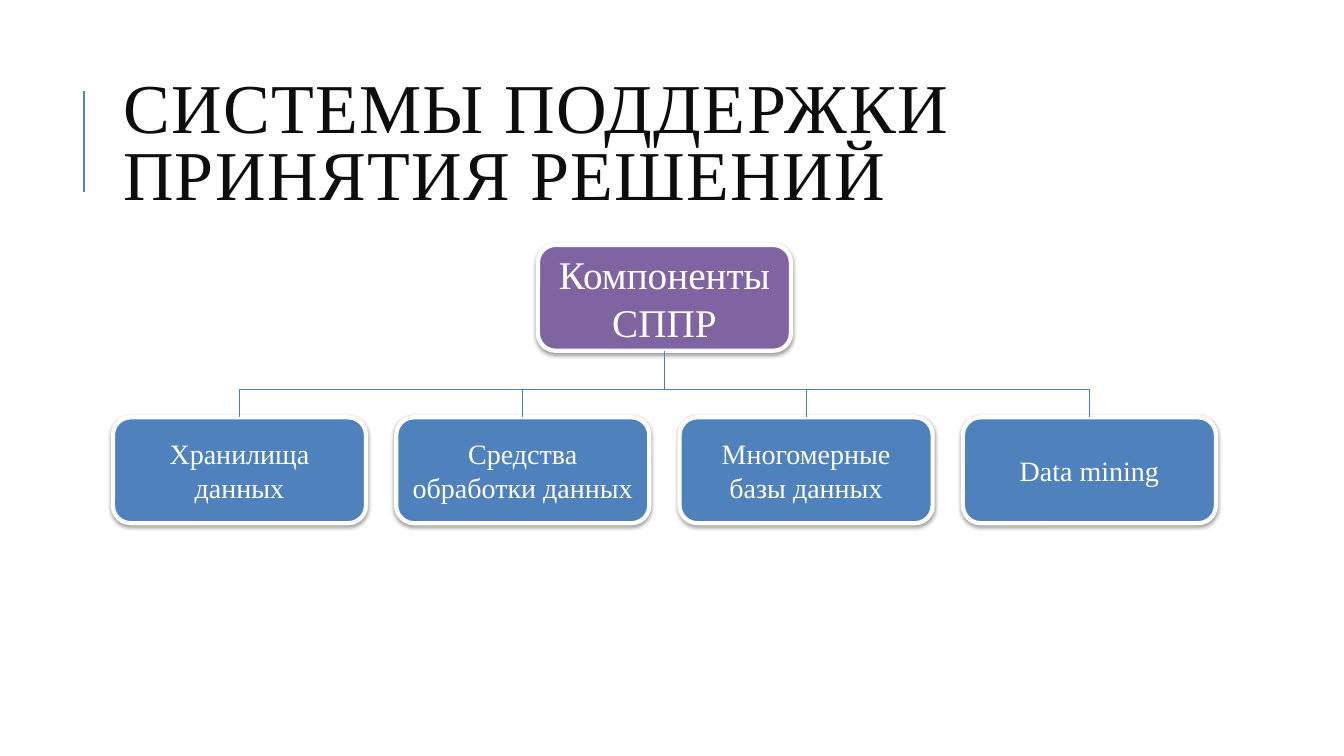
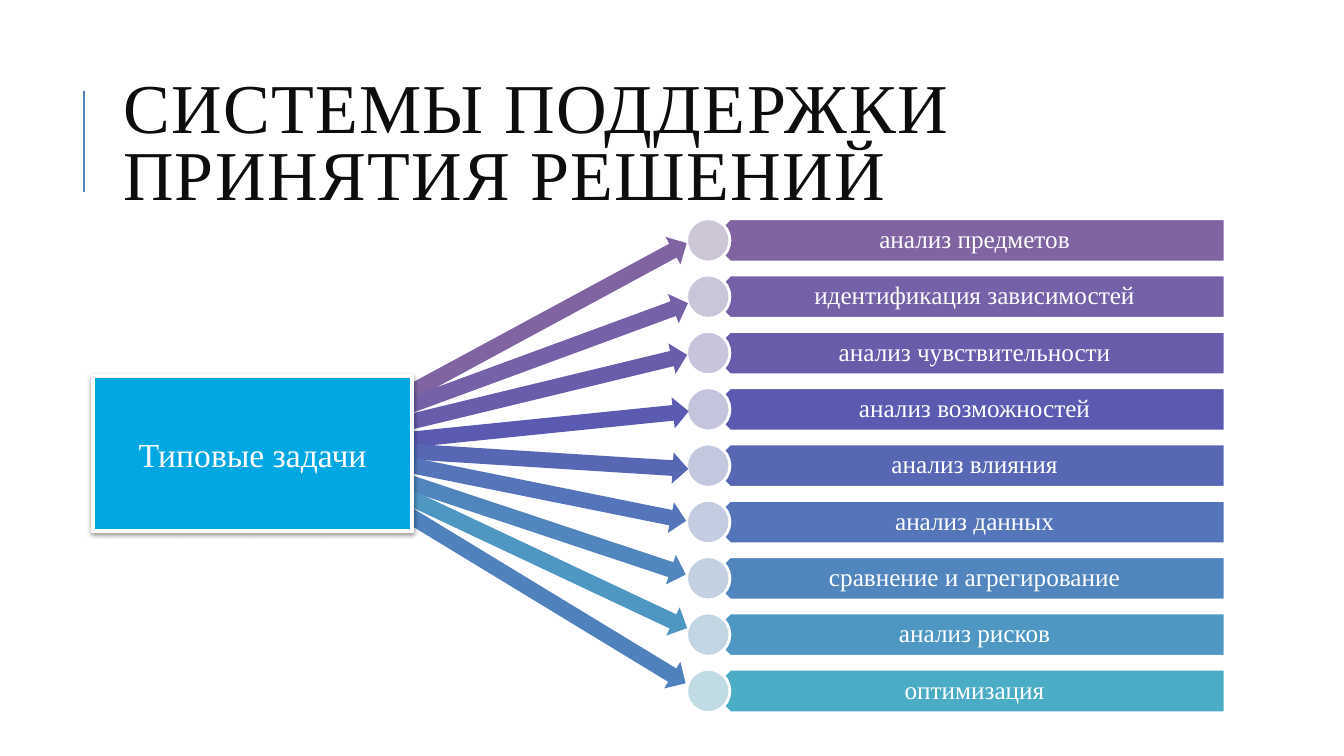
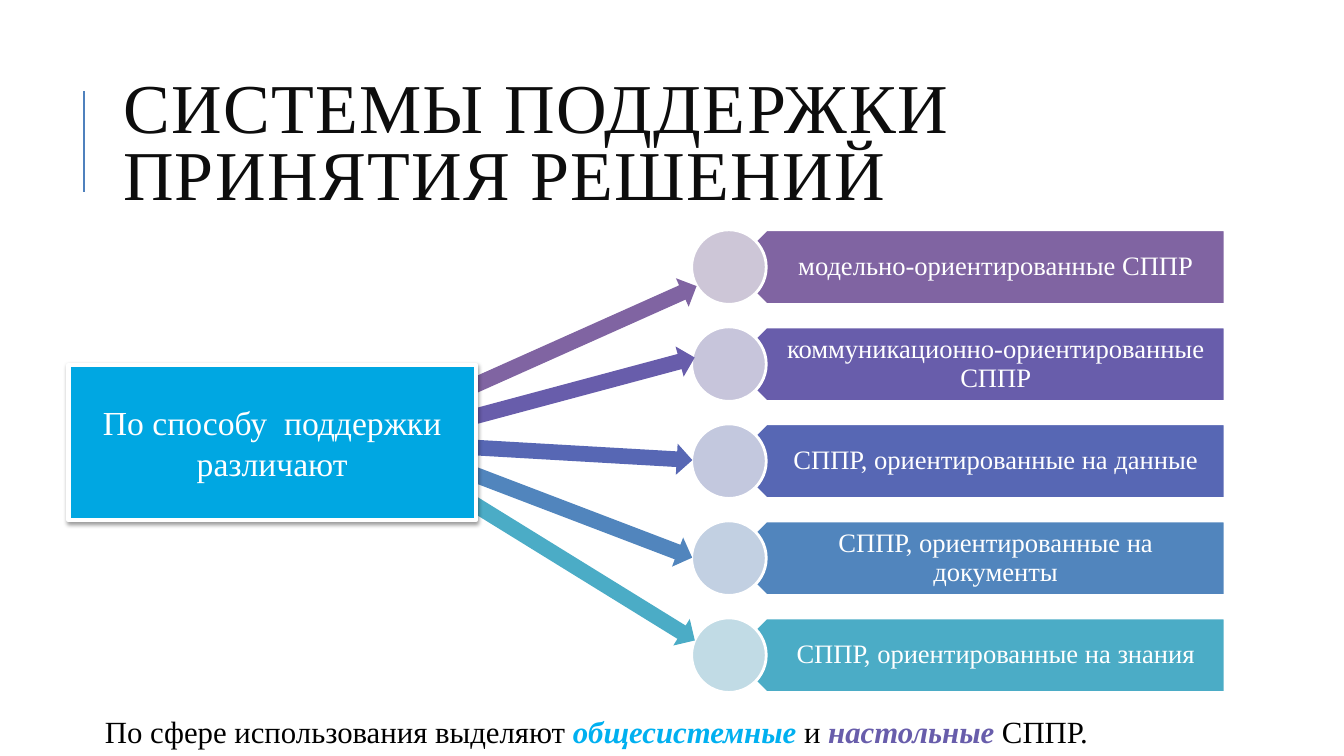
import pptx
import pptx.util
import pptx.dml.color
import pptx.enum.shapes
import pptx.enum.text
import pptx.oxml
import pptx.oxml.ns

Inches = pptx.util.Inches
Pt = pptx.util.Pt
RGB = pptx.dml.color.RGBColor
SHAPE = pptx.enum.shapes.MSO_SHAPE
ALIGN = pptx.enum.text.PP_ALIGN
MIDDLE = pptx.enum.text.MSO_ANCHOR.MIDDLE

# Shared style
FONT = "Times New Roman"
TITLE = "СИСТЕМЫ ПОДДЕРЖКИ ПРИНЯТИЯ РЕШЕНИЙ"
WHITE = RGB(0xFF, 0xFF, 0xFF)
BLACK = RGB(0, 0, 0)
INK = RGB(0x0D, 0x0D, 0x0D)
BLUE = RGB(0x4F, 0x81, 0xBD)
WIRE = RGB(0x4B, 0x7E, 0xBC)
PURPLE = RGB(0x80, 0x64, 0xA2)
VIOLET = RGB(0x68, 0x5D, 0xAB)
TEAL = RGB(0x4B, 0xAC, 0xC6)
CYAN = RGB(0x00, 0xA7, 0xE2)
SKY = RGB(0x00, 0xB0, 0xF0)
HUES = [PURPLE, RGB(0x75, 0x61, 0xA7), VIOLET,
        RGB(0x5A, 0x5B, 0xB0), RGB(0x57, 0x67, 0xB4), RGB(0x54, 0x75, 0xB9),
        RGB(0x51, 0x85, 0xBD), RGB(0x4E, 0x97, 0xC2), TEAL]
TINTS = [RGB(0xCD, 0xC6, 0xD7), RGB(0xCA, 0xC5, 0xD9), RGB(0xC7, 0xC5, 0xDB),
         RGB(0xC4, 0xC5, 0xDC), RGB(0xC3, 0xC8, 0xDE), RGB(0xC3, 0xCC, 0xE0),
         RGB(0xC2, 0xD0, 0xE2), RGB(0xC2, 0xD5, 0xE3), RGB(0xC1, 0xDB, 0xE5)]


def style(run, size, color):
    run.font.name = FONT
    run.font.size = Pt(size)
    run.font.color.rgb = color


def write(shape, text, size, color=WHITE, align=ALIGN.CENTER, gap=1.0):
    frame = shape.text_frame
    frame.text = text
    frame.word_wrap = True
    frame.vertical_anchor = MIDDLE
    para = frame.paragraphs[0]
    para.alignment = align
    para.line_spacing = gap
    style(para.runs[0], size, color)
    return para.runs[0]


def draw(slide, kind, box, fill, edge=0):
    shape = slide.shapes.add_shape(kind, *map(Inches, box))
    shape.shadow.inherit = False
    shape.fill.solid()
    shape.fill.fore_color.rgb = fill
    if edge:
        shape.line.color.rgb = WHITE
        shape.line.width = Pt(edge)
    else:
        shape.line.fill.background()
    return shape


def wire(slide, start, end, color=WIRE, width=0.75):
    line = slide.shapes.add_connector(
        pptx.enum.shapes.MSO_CONNECTOR.STRAIGHT, *map(Inches, start + end))
    line.line.color.rgb = color
    line.line.width = Pt(width)
    pptx.oxml.ns.qn("a:effectLst")
    line._element.spPr.append(pptx.oxml.parse_xml(
        "<a:effectLst %s/>" % pptx.oxml.ns.nsdecls("a")))
    return line


def card(slide, kind, box, fill, text, size):
    """White-edged box with a soft shadow and centred text."""
    shape = draw(slide, kind, box, fill, 3)
    glow = shape._element.spPr.find(pptx.oxml.ns.qn("a:effectLst"))
    glow.append(pptx.oxml.parse_xml(
        '<a:outerShdw %s blurRad="40000" dist="20000" dir="5400000" '
        'rotWithShape="0"><a:srgbClr val="000000"><a:alpha val="38000"/>'
        '</a:srgbClr></a:outerShdw>' % pptx.oxml.ns.nsdecls("a")))
    write(shape, text, size)
    return shape


def start(deck):
    """New slide with the title and the rule beside it."""
    slide = deck.slides.add_slide(deck.slide_layouts[5])
    wire(slide, (0.83, 1.9), (0.83, 0.9), BLUE, 1.5)
    title = slide.shapes.title
    title.left, title.top = Inches(1.12), Inches(0.64)
    title.width, title.height = Inches(10.63), Inches(1.64)
    run = write(title, TITLE, 50, INK, ALIGN.LEFT, 0.8)
    run._r.get_or_add_rPr().set("spc", "100")
    title.text_frame.auto_size = pptx.enum.text.MSO_AUTO_SIZE.NONE
    return slide


def tree(slide, box, head, names):
    """Root box above a row of equal boxes, joined by a bus line."""
    x, y, w, h = box
    wide, high, bus = 2.51, 1.05, y + 1.43
    step = (w - wide) / (len(names) - 1)
    root = card(slide, SHAPE.ROUNDED_RECTANGLE,
                (x + (w - wide) / 2, y, wide, high), PURPLE, head, 28)
    mid = x + w / 2
    wire(slide, (mid, y + high), (mid, bus)).begin_connect(root, 2)
    first = x + wide / 2
    wire(slide, (first, bus), (x + w - wide / 2, bus))
    for i, name in enumerate(names):
        leaf = card(slide, SHAPE.ROUNDED_RECTANGLE,
                    (x + i * step, y + h - high, wide, high), BLUE, name, 20)
        at = first + i * step
        wire(slide, (at, bus), (at, y + h - high)).end_connect(leaf, 0)


def rows(slide, box, names, size, high, hues, tints):
    """Evenly spaced bars, each led by a pale disc."""
    x, y, w, h = box
    step = (h - high) / (len(names) - 1)
    for i, name in enumerate(names):
        top = y + i * step
        bar = draw(slide, SHAPE.PENTAGON,
                   (x + high / 2, top, w - high / 2, high), hues[i], 2)
        bar.rotation = 180
        left = x + high * 0.75
        label = slide.shapes.add_textbox(
            *map(Inches, (left, top, x + w - left, high)))
        write(label, name, size, gap=0.9)
        frame = label.text_frame
        frame.margin_left, frame.margin_right = Inches(high * 0.44), Inches(0.14)
        frame.margin_top = frame.margin_bottom = Inches(0.07)
        draw(slide, SHAPE.OVAL, (x, top, high, high), tints[i], 2)


def fan(slide, rays, hues):
    """Turned arrows: left, top, length and angle of each."""
    for (x, y, w, turn), hue in zip(rays, hues):
        arrow = draw(slide, SHAPE.RIGHT_ARROW, (x, y, w, 0.31), hue)
        arrow.rotation = turn


def note(slide, box, parts):
    """One line of text with stressed words in colour."""
    area = slide.shapes.add_textbox(*map(Inches, box))
    frame = area.text_frame
    frame.word_wrap = True
    frame.margin_left = frame.margin_right = Inches(0.05)
    frame.margin_top = frame.margin_bottom = Inches(0.05)
    for text, color in parts:
        run = frame.paragraphs[0].add_run()
        run.text = text
        style(run, 22, color)
        run.font.bold = run.font.italic = color != BLACK


def main():
    deck = pptx.Presentation()
    deck.slide_width, deck.slide_height = Inches(13.33), Inches(7.5)

    # Components
    tree(start(deck), (1.12, 2.43, 10.94, 2.76), "Компоненты СППР",
         ["Хранилища данных", "Средства обработки данных",
          "Многомерные базы данных", "Data mining"])

    # Typical tasks
    slide = start(deck)
    rows(slide, (6.81, 2.17, 5.34, 4.9),
         ["анализ предметов", "идентификация зависимостей",
          "анализ чувствительности", "анализ возможностей",
          "анализ влияния", "анализ данных", "сравнение и агрегирование",
          "анализ рисков", "оптимизация"], 18, 0.43, HUES, TINTS)
    fan(slide, [(3.56, 3.08, 3.46, 331.6), (3.47, 3.45, 3.46, 339.8),
                (3.68, 3.74, 3.18, 346.4), (3.38, 4.1, 3.46, 354.2),
                (3.37, 4.39, 3.46, 3.6), (3.38, 4.67, 3.46, 11.4),
                (3.43, 5, 3.46, 18.4), (3.52, 5.34, 3.46, 25.2),
                (3.36, 5.66, 3.71, 31.3)], HUES[:-1] + [BLUE])
    card(slide, SHAPE.RECTANGLE, (0.92, 3.73, 3.17, 1.54), CYAN,
         "Типовые задачи", 24)

    # Kinds of support
    slide = start(deck)
    note(slide, (0.99, 7.02, 10.63, 0.48),
         [("По сфере использования выделяют ", BLACK),
          ("общесистемные", SKY), (" и ", BLACK),
          ("настольные", VIOLET), (" СППР.", BLACK)])
    rows(slide, (6.86, 2.28, 5.29, 4.59),
         ["модельно-ориентированные СППР",
          "коммуникационно-ориентированные СППР",
          "СППР, ориентированные на данные",
          "СППР, ориентированные на документы",
          "СППР, ориентированные на знания"],
         19, 0.74, HUES[::2], TINTS[::2])
    fan(slide, [(3.6, 3.39, 3.46, 335.9), (3.49, 3.84, 3.46, 345),
                (3.4, 4.31, 3.47, 3.3), (3.19, 4.7, 3.8, 20.9),
                (3.69, 5.29, 3.46, 31.7)], HUES[::2])
    card(slide, SHAPE.RECTANGLE, (0.68, 3.62, 4.04, 1.54), CYAN,
         "По способу  поддержки различают", 24)

    deck.save("out.pptx")


if __name__ == "__main__":
    main()
